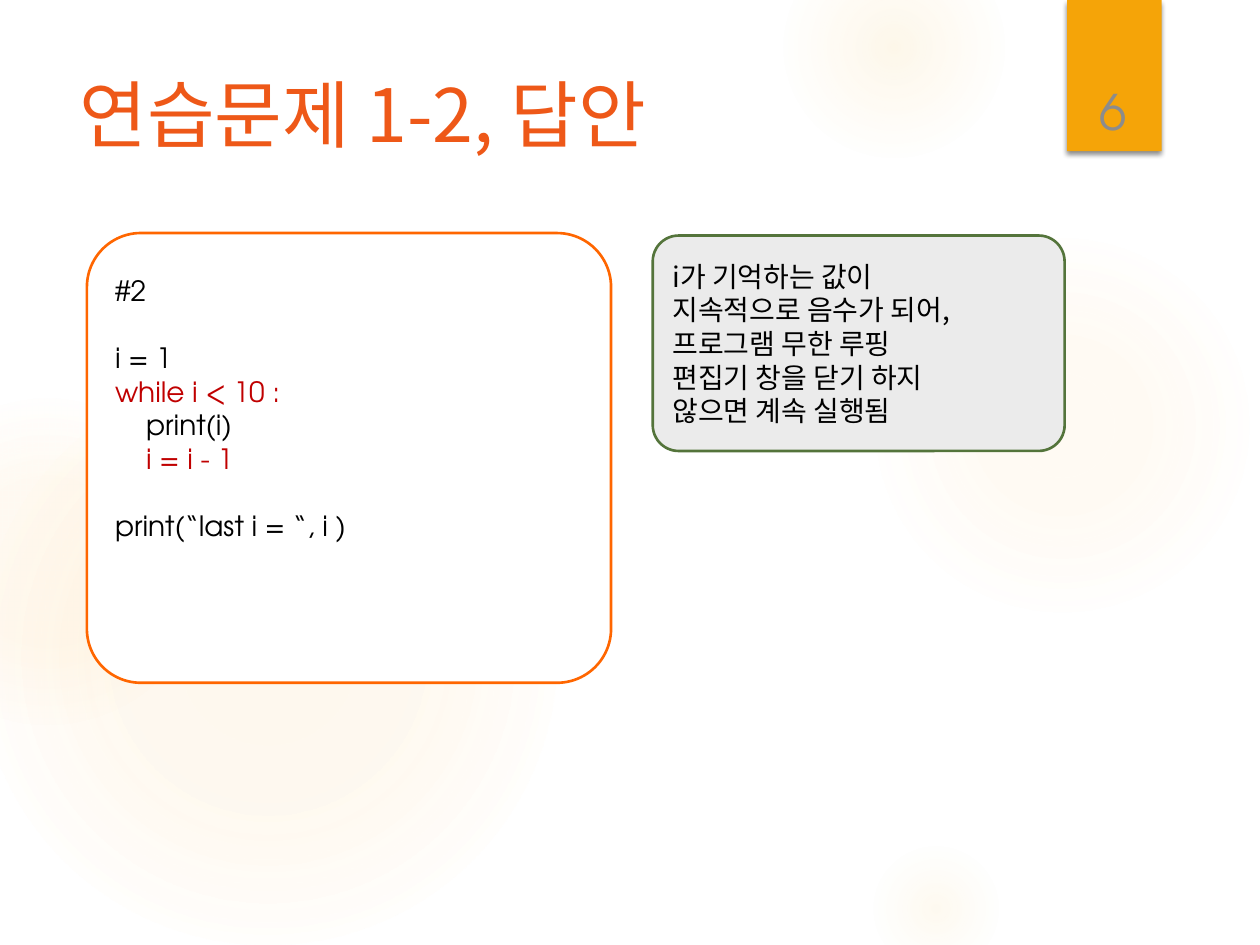
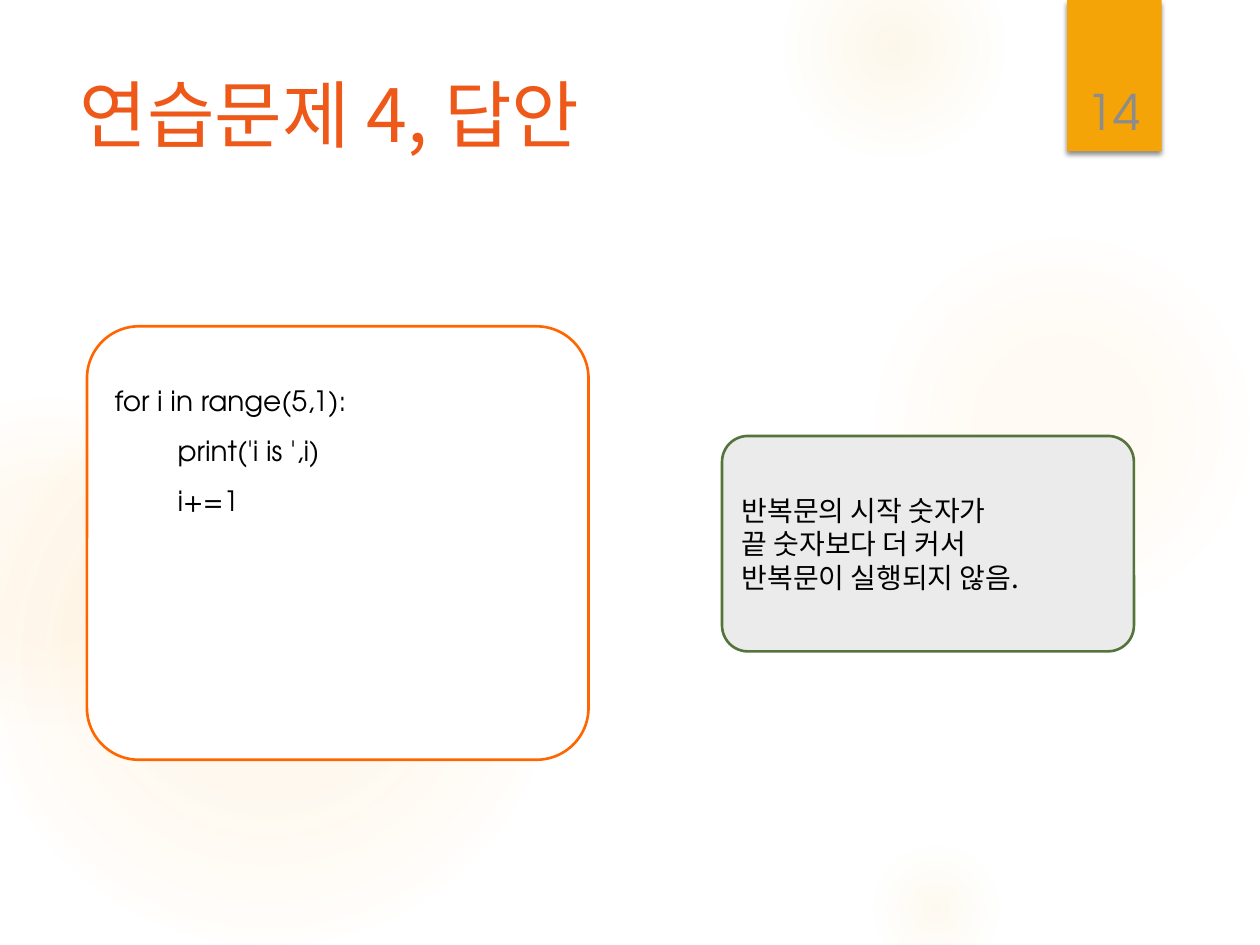
from dataclasses import dataclass

from lxml.etree import SubElement
from pptx import Presentation
from pptx.dml.color import RGBColor
from pptx.enum.shapes import MSO_SHAPE
from pptx.enum.text import MSO_ANCHOR, PP_ALIGN
from pptx.oxml import parse_xml
from pptx.oxml.ns import nsdecls, qn
from pptx.util import Pt


@dataclass(frozen=True)
class Theme:
    """Colours, fonts and type sizes of the deck."""

    korean: str = "Noto Sans CJK KR"
    latin: str = "TeX Gyre Adventor"
    title: str = "EE5818"
    text: str = "000000"
    accent: str = "C00000"
    number: str = "8C8C8C"
    ribbon: str = "F5A408"
    glow: str = "FAC96A"
    code_fill: str = "FFFFFF"
    code_line: str = "FF6600"
    note_fill: str = "EBEBEB"
    note_line: str = "54743B"
    title_size: int = 42
    number_size: int = 28
    body_size: int = 16


THEME = Theme()
TITLE_BOX = (38.2, 36, 555.8, 110.2)
RIBBON_BOX = (609.8, 0, 54, 86.4)
NUMBER_BOX = (611.3, 23, 49.7, 60.5)
BLANK_LINE = 19.2

GLOWS = [
    (496, 131.8, 222, [(0, 7), (36, 6), (69, 0)]),
    (448, -36, 126, [(0, 14), (36, 7), (73, 0)]),
    (496, 480.2, 78, [(0, 10), (31, 5), (66, 0)]),
    (-12, 210, 330, [(0, 11), (36, 10), (75, 0)]),
    (-66, 228, 186, [(0, 8), (36, 8), (72, 0)]),
]

SLIDES = [
    dict(
        title="연습문제 1-2, 답안",
        number=6,
        code_box=(49.7, 133.2, 299.5, 257),
        code=[
            dict(text="#2"),
            dict(text="i = 1", before=BLANK_LINE),
            dict(text="while i < 10 :", color=THEME.accent),
            dict(text="print(i)", indent=17.8),
            dict(text="i = i - 1", indent=17.8, color=THEME.accent),
            dict(text="print(“last i = “, i )", before=BLANK_LINE),
        ],
        spacing=1.0,
        note_box=(373, 134.6, 235.4, 123.1),
        note=["i가 기억하는 값이", "지속적으로 음수가 되어,", "프로그램 무한 루핑",
              "편집기 창을 닫기 하지", "않으면 계속 실행됨"],
    ),
    dict(
        title="연습문제 4, 답안",
        number=14,
        code_box=(49.7, 186.5, 286.6, 247.7),
        code=[
            dict(text="for i in range(5,1):"),
            dict(text="print('i is ',i)", indent=36),
            dict(text="i+=1", indent=36),
        ],
        spacing=1.5,
        note_box=(412.6, 249.1, 235.4, 123.1),
        note=["반복문의 시작 숫자가", "끝 숫자보다 더 커서", "반복문이 실행되지 않음."],
    ),
]


def rgb(color):
    """Turn a hex string into a colour."""
    return RGBColor.from_string(color)


def pts(box):
    """Turn a box of numbers into point lengths."""
    return [Pt(v) for v in box]


def style(p, font, size, color):
    """Format every run of a paragraph for Latin and Korean text."""
    for r in p.runs:
        r.font.name = font
        r.font.size = Pt(size)
        r.font.color.rgb = rgb(color)
        SubElement(r.font._element, qn("a:ea")).set("typeface", font)


def add_glow(slide, left, top, size, stops):
    """Add a circle that fades out from its centre."""
    sp = slide.shapes.add_shape(MSO_SHAPE.OVAL, *pts((left, top, size, size)))
    sp.shadow.inherit = False
    sp.line.fill.background()
    sp.fill.background()
    marks = "".join(
        f'<a:gs pos="{pos * 1000}"><a:srgbClr val="{THEME.glow}">'
        f'<a:alpha val="{alpha * 1000}"/></a:srgbClr></a:gs>'
        for pos, alpha in stops
    )
    grad = parse_xml(
        f'<a:gradFill {nsdecls("a")} rotWithShape="1"><a:gsLst>{marks}</a:gsLst>'
        '<a:path path="circle"><a:fillToRect l="50000" t="50000" r="50000" b="50000"/>'
        "</a:path></a:gradFill>"
    )
    props = sp.element.spPr
    props.replace(props.find(qn("a:noFill")), grad)
    return sp


def add_ribbon(slide, box):
    """Add the page number ribbon with its soft shadow."""
    sp = slide.shapes.add_shape(MSO_SHAPE.RECTANGLE, *pts(box))
    sp.fill.solid()
    sp.fill.fore_color.rgb = rgb(THEME.ribbon)
    sp.line.fill.background()
    sp.shadow.inherit = False
    sp.element.spPr.find(qn("a:effectLst")).append(parse_xml(
        f'<a:outerShdw {nsdecls("a")} blurRad="{Pt(3)}" dist="{Pt(2)}" dir="5400000" '
        'rotWithShape="0"><a:srgbClr val="000000"><a:alpha val="45000"/></a:srgbClr>'
        "</a:outerShdw>"
    ))
    return sp


def decorate_layout(layout, slide):
    """Build the shared background and move it into the layout."""
    parts = [add_glow(slide, *glow) for glow in GLOWS]
    parts.append(add_ribbon(slide, RIBBON_BOX))
    for i, sp in enumerate(parts):
        sp.element.xpath("p:nvSpPr/p:cNvPr")[0].set("id", str(20 + i))
        layout.shapes.element.insert(2 + i, sp.element)


def set_title(slide, text, box):
    """Place and format the title placeholder."""
    sp = slide.shapes.title
    sp.left, sp.top, sp.width, sp.height = pts(box)
    tf = sp.text_frame
    tf.text = text
    tf.vertical_anchor = MSO_ANCHOR.TOP
    p = tf.paragraphs[0]
    p.alignment = PP_ALIGN.LEFT
    style(p, THEME.korean, THEME.title_size, THEME.title)


def add_number(slide, number, box):
    """Add the page number over the ribbon."""
    tf = slide.shapes.add_textbox(*pts(box)).text_frame
    tf.word_wrap = True
    tf.vertical_anchor = MSO_ANCHOR.BOTTOM
    tf.text = str(number)
    p = tf.paragraphs[0]
    p.alignment = PP_ALIGN.CENTER
    style(p, THEME.latin, THEME.number_size, THEME.number)


def add_panel(slide, box, fill, line, lines):
    """Add a rounded panel with left-aligned lines and return its text frame."""
    sp = slide.shapes.add_shape(MSO_SHAPE.ROUNDED_RECTANGLE, *pts(box))
    sp.adjustments[0] = 0.12
    sp.shadow.inherit = False
    sp.fill.solid()
    sp.fill.fore_color.rgb = rgb(fill)
    sp.line.color.rgb = rgb(line)
    sp.line.width = Pt(1.5)
    tf = sp.text_frame
    tf.word_wrap = True
    tf.text = "\n".join(lines)
    for p in tf.paragraphs:
        p.alignment = PP_ALIGN.LEFT
    return tf


def add_code(slide, box, code, spacing):
    """Add the code panel with its indents and highlighted lines."""
    tf = add_panel(slide, box, THEME.code_fill, THEME.code_line, [c["text"] for c in code])
    tf.vertical_anchor = MSO_ANCHOR.TOP
    tf.margin_top = Pt(14.2)
    for p, c in zip(tf.paragraphs, code):
        p.line_spacing = spacing
        p.space_before = Pt(c.get("before", 0))
        p._p.get_or_add_pPr().set("marL", str(Pt(c.get("indent", 0))))
        style(p, THEME.latin, THEME.body_size, c.get("color", THEME.text))


def add_note(slide, box, lines):
    """Add the explanation panel."""
    tf = add_panel(slide, box, THEME.note_fill, THEME.note_line, lines)
    tf.vertical_anchor = MSO_ANCHOR.MIDDLE
    for p in tf.paragraphs:
        style(p, THEME.korean, THEME.body_size, THEME.text)


def add_answer(slide, content):
    """Fill one answer slide."""
    set_title(slide, content["title"], TITLE_BOX)
    add_code(slide, content["code_box"], content["code"], content["spacing"])
    add_note(slide, content["note_box"], content["note"])
    add_number(slide, content["number"], NUMBER_BOX)


def main():
    """Build the deck and save it."""
    prs = Presentation()
    prs.slide_width, prs.slide_height = Pt(720), Pt(540)
    layout = prs.slide_layouts[5]
    slides = [prs.slides.add_slide(layout) for _ in SLIDES]
    decorate_layout(layout, slides[0])
    for slide, content in zip(slides, SLIDES):
        add_answer(slide, content)
    prs.save("out.pptx")


if __name__ == "__main__":
    main()
